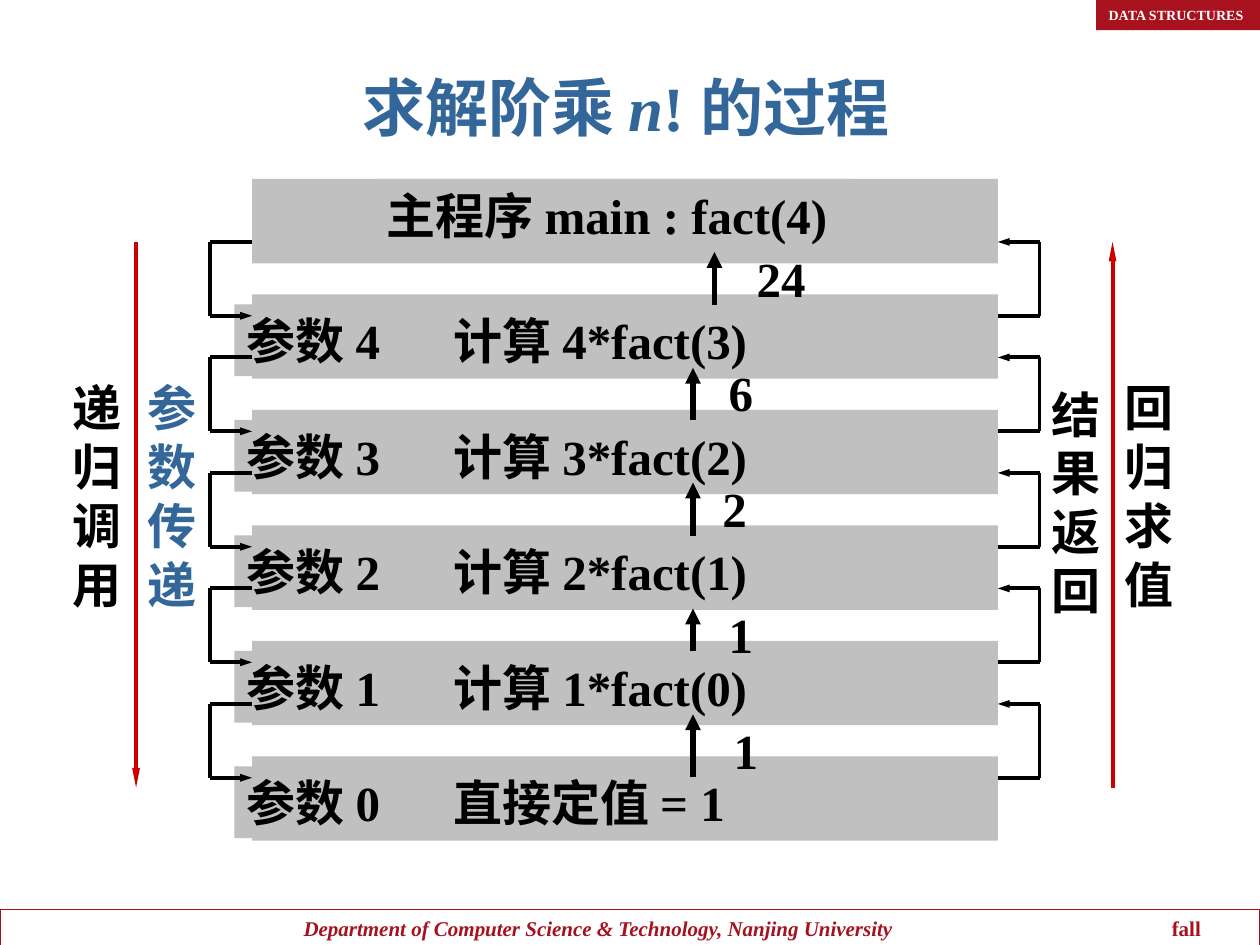
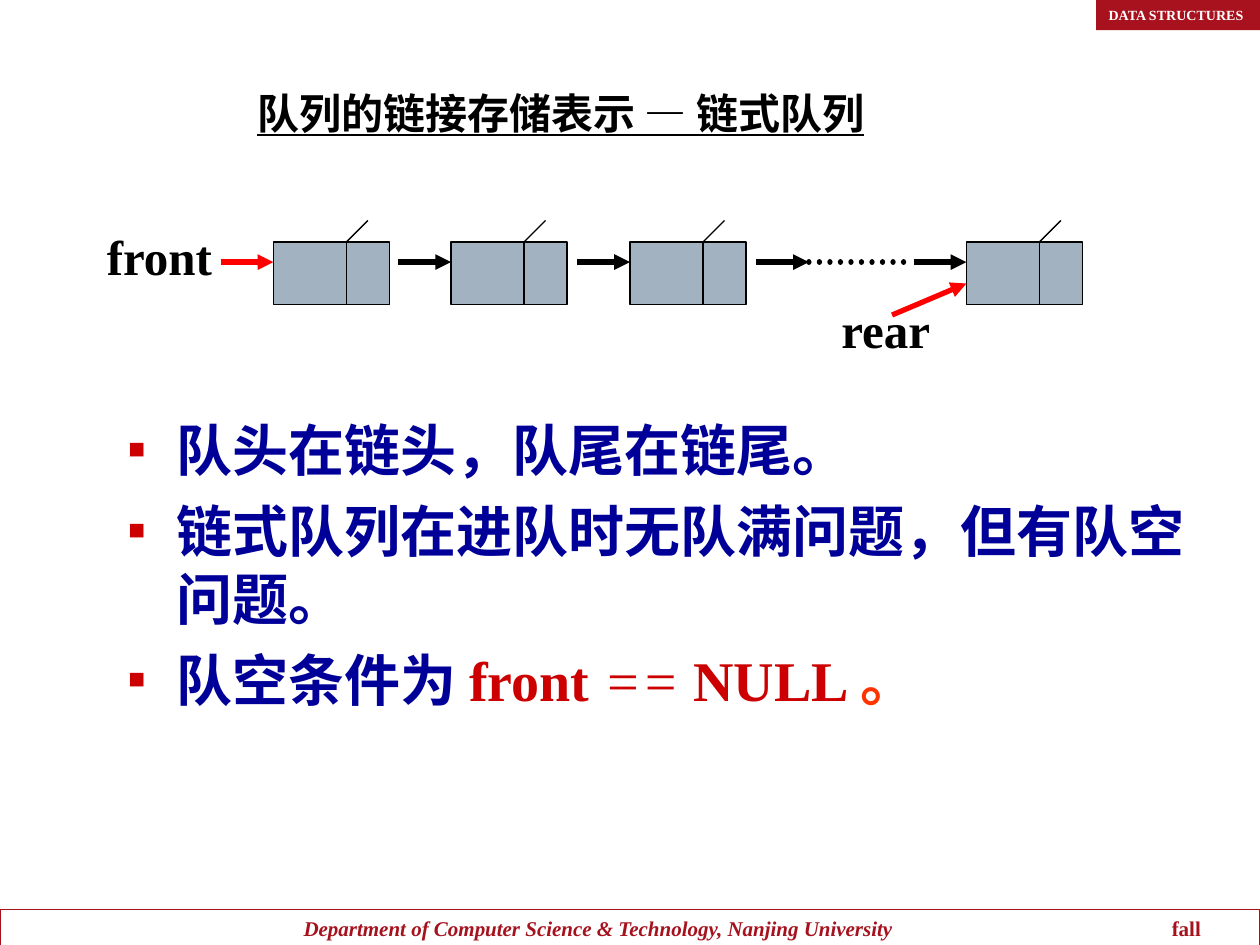
"""Build two data structures slides: factorial recursion and the linked queue."""
import dataclasses

import lxml.etree
import pptx
import pptx.dml.color
import pptx.enum.dml
import pptx.enum.shapes
import pptx.enum.text
import pptx.oxml.ns
import pptx.util

Inches = pptx.util.Inches
Pt = pptx.util.Pt
qn = pptx.oxml.ns.qn
Align = pptx.enum.text.PP_ALIGN
Anchor = pptx.enum.text.MSO_ANCHOR


@dataclasses.dataclass(frozen=True)
class Theme:
    font: str = "Times New Roman"
    black: str = "000000"
    white: str = "FFFFFF"
    crimson: str = "A5121E"
    tag: str = "A8121E"
    steel: str = "336699"
    frame: str = "C0C0C0"
    node: str = "A3B2C1"
    navy: str = "000099"
    red: str = "CC0000"
    pointer: str = "FF0000"
    orange: str = "FF3300"
    title: int = 36
    subtitle: int = 24
    body: int = 32
    label: int = 28
    footer: int = 12
    small: int = 8
    thin: float = 0.75
    medium: float = 2.25
    thick: float = 3


theme = Theme()
rgb = pptx.dml.color.RGBColor.from_string


def write(slide, content, at, size=theme.label, color=theme.black, align=Align.LEFT,
          anchor=Anchor.TOP, fill=None, outline=None, inset=0.1, tab=None,
          bullet=None, underline=None):
    left, top, width, height = [Inches(length) for length in at]
    if fill or outline:
        box = slide.shapes.add_shape(
            pptx.enum.shapes.MSO_SHAPE.RECTANGLE, left, top, width, height)
        box.shadow.inherit = False
        if fill:
            box.fill.solid()
            box.fill.fore_color.rgb = rgb(fill)
        else:
            box.fill.background()
        if outline:
            box.line.color.rgb = rgb(outline)
            box.line.width = Pt(theme.thin)
        else:
            box.line.fill.background()
    else:
        box = slide.shapes.add_textbox(left, top, width, height)
    frame = box.text_frame
    frame.word_wrap = True
    frame.vertical_anchor = anchor
    frame.margin_left = Inches(inset)
    paragraphs = [[(content, {})]] if isinstance(content, str) else content
    for index, runs in enumerate(paragraphs):
        paragraph = frame.add_paragraph() if index else frame.paragraphs[0]
        paragraph.alignment = align
        properties = paragraph._p.get_or_add_pPr()
        if bullet:
            if index:
                paragraph.space_before = Pt(8)
            properties.set("marL", str(Inches(0.38)))
            properties.set("indent", str(-Inches(0.38)))
            bullet_color = lxml.etree.SubElement(properties, qn("a:buClr"))
            lxml.etree.SubElement(bullet_color, qn("a:srgbClr"), val=theme.red)
            lxml.etree.SubElement(properties, qn("a:buSzPct"), val="50000")
            lxml.etree.SubElement(properties, qn("a:buFont"), typeface=theme.font)
            lxml.etree.SubElement(properties, qn("a:buChar"), char=bullet)
        if tab:
            stops = lxml.etree.SubElement(properties, qn("a:tabLst"))
            lxml.etree.SubElement(stops, qn("a:tab"), pos=str(Inches(tab)), algn="l")
        for words, style in runs:
            run = paragraph.add_run()
            run.text = words
            run.font.name = theme.font
            run.font.size = Pt(size)
            run.font.bold = style.get("bold", True)
            run.font.italic = style.get("italic", False)
            run.font.underline = underline
            run.font.color.rgb = rgb(style.get("color", color))


def connect(slide, start, end, color=theme.black, width=theme.medium,
            head=None, dotted=False):
    link = slide.shapes.add_connector(
        pptx.enum.shapes.MSO_CONNECTOR.STRAIGHT,
        *[Inches(length) for length in (*start, *end)])
    link.line.color.rgb = rgb(color)
    link.line.width = Pt(width)
    outline = link.line._get_or_add_ln()
    if dotted:
        link.line.dash_style = pptx.enum.dml.MSO_LINE.ROUND_DOT
        outline.set("cap", "rnd")
    if head:
        breadth, length = head
        lxml.etree.SubElement(outline, qn("a:tailEnd"), type="triangle",
                              w=breadth, len=length)
    lxml.etree.SubElement(link._element.spPr, qn("a:effectLst"))


deck = pptx.Presentation()
deck.slide_width = Inches(10)
deck.slide_height = Inches(7.5)
factorial, queue = [deck.slides.add_slide(deck.slide_layouts[6]) for _ in range(2)]

for slide in (factorial, queue):
    write(slide, [[("Department of Computer Science & Technology, Nanjing University",
                    {"italic": True}), ("\tfall", {})]],
          (0, 7.22, 10, 0.3), size=theme.footer, color=theme.crimson,
          outline=theme.crimson, inset=2.41, tab=6.89)
    write(slide, "DATA STRUCTURES", (8.7, 0, 1.33, 0.24), size=theme.small,
          color=theme.white, fill=theme.tag)

write(factorial, [[("求解阶乘 ", {}), ("n", {"italic": True}), ("! 的过程", {})]],
      (2.27, 0.47, 5.4, 0.75), size=theme.title, color=theme.steel,
      align=Align.CENTER, anchor=Anchor.MIDDLE)

call_left, call_right, call_width = 2, 7.92, 5.92
call_pitch = 11 / 12
pass_x, return_x = 1.67, 8.25
small_head, long_head, normal_head = ("sm", "med"), ("sm", "lg"), ("med", "med")
calls = ["主程序 main : fact(4)"]
calls += [f"参数 {n}\t计算 {n}*fact({n - 1})" for n in range(4, 0, -1)]
calls.append("参数 0\t直接定值 = 1")

for depth, call in enumerate(calls):
    top = 1.42 + depth * call_pitch
    write(factorial, "", (call_left, top, call_width, 0.67), fill=theme.frame)
    if depth == 0:
        write(factorial, call, (2.97, top, 3.79, 0.57), fill=theme.frame)
        continue
    write(factorial, call, (1.86, top + 0.08, 4.47, 0.57), fill=theme.frame, tab=1.64)
    caller, callee = top - call_pitch + 0.5, top + 0.17
    connect(factorial, (call_left, caller), (pass_x, caller))
    connect(factorial, (pass_x, caller), (pass_x, callee))
    connect(factorial, (pass_x, callee), (call_left, callee), head=small_head)
    connect(factorial, (call_right, callee), (return_x, callee))
    connect(factorial, (return_x, callee), (return_x, caller))
    connect(factorial, (return_x, caller), (call_right, caller), head=small_head)

for phase, left, top, width, color in (
        ("递归调用", 0.48, 2.95, 0.68, theme.black),
        ("参数传递", 1.07, 2.95, 0.68, theme.steel),
        ("结果返回", 8.25, 3, 0.6, theme.black),
        ("回归求值", 8.83, 2.95, 0.68, theme.black)):
    write(factorial, phase, (left, top, width, 1.97), color=color)

connect(factorial, (1.08, 1.92), (1.08, 6.25), theme.red, head=long_head)
connect(factorial, (8.83, 6.25), (8.83, 1.92), theme.red, head=long_head)

for result, x, bottom, tip, center, label_top in (
        ("1", 5.5, 6.17, 5.67, 5.92, 5.67),
        ("1", 5.5, 5.17, 4.83, 5.88, 4.75),
        ("2", 5.5, 4.25, 3.83, 5.83, 3.75),
        ("6", 5.5, 3.33, 2.92, 5.88, 2.83),
        ("24", 5.67, 2.42, 2, 6.2, 1.92)):
    connect(factorial, (x, bottom), (x, tip), width=theme.thick, head=normal_head)
    write(factorial, result, (center - 0.3, label_top, 0.6, 0.57), align=Align.CENTER)

write(queue, "队列的链接存储表示 — 链式队列", (0.2, -0.11, 8.5, 1.25),
      size=theme.subtitle, align=Align.CENTER, anchor=Anchor.BOTTOM, underline=True)

write(queue, [
    [("队头在链头，队尾在链尾。", {})],
    [("链式队列在进队时无队满问题，但有队空问题。", {})],
    [("队空条件为 ", {}), ("front ", {"color": theme.red}),
     ("==", {"color": theme.red, "bold": False, "italic": True}),
     (" NULL ", {"color": theme.red}), ("。", {"color": theme.orange})],
], (0.92, 3.25, 8.92, 2.83), size=theme.body, color=theme.navy, bullet="■")

node_top, node_bottom, link_y = 1.92, 2.42, 2.08
for node_left in (2.17, 3.58, 5, 7.67):
    divider = node_left + 0.58
    write(queue, "", (node_left, node_top, 0.92, 0.5), fill=theme.node,
          outline=theme.black)
    connect(queue, (divider, node_top), (divider, node_bottom), width=theme.thin)
    connect(queue, (divider, node_top), (divider + 0.17, 1.75), width=theme.thin)

for tip_x, color in ((2.17, theme.pointer), (3.58, theme.black), (5, theme.black),
                     (6.42, theme.black), (7.67, theme.black)):
    connect(queue, (tip_x - 0.42, link_y), (tip_x, link_y), color, theme.thick,
            normal_head)
connect(queue, (6.42, link_y), (7.25, link_y), width=theme.thick, dotted=True)
connect(queue, (7.08, 2.5), (7.67, 2.25), theme.pointer, theme.thick, normal_head)

write(queue, "front", (0.75, 1.75, 1.1, 0.57))
write(queue, "rear", (6.58, 2.33, 1, 0.57))

deck.save("out.pptx")
